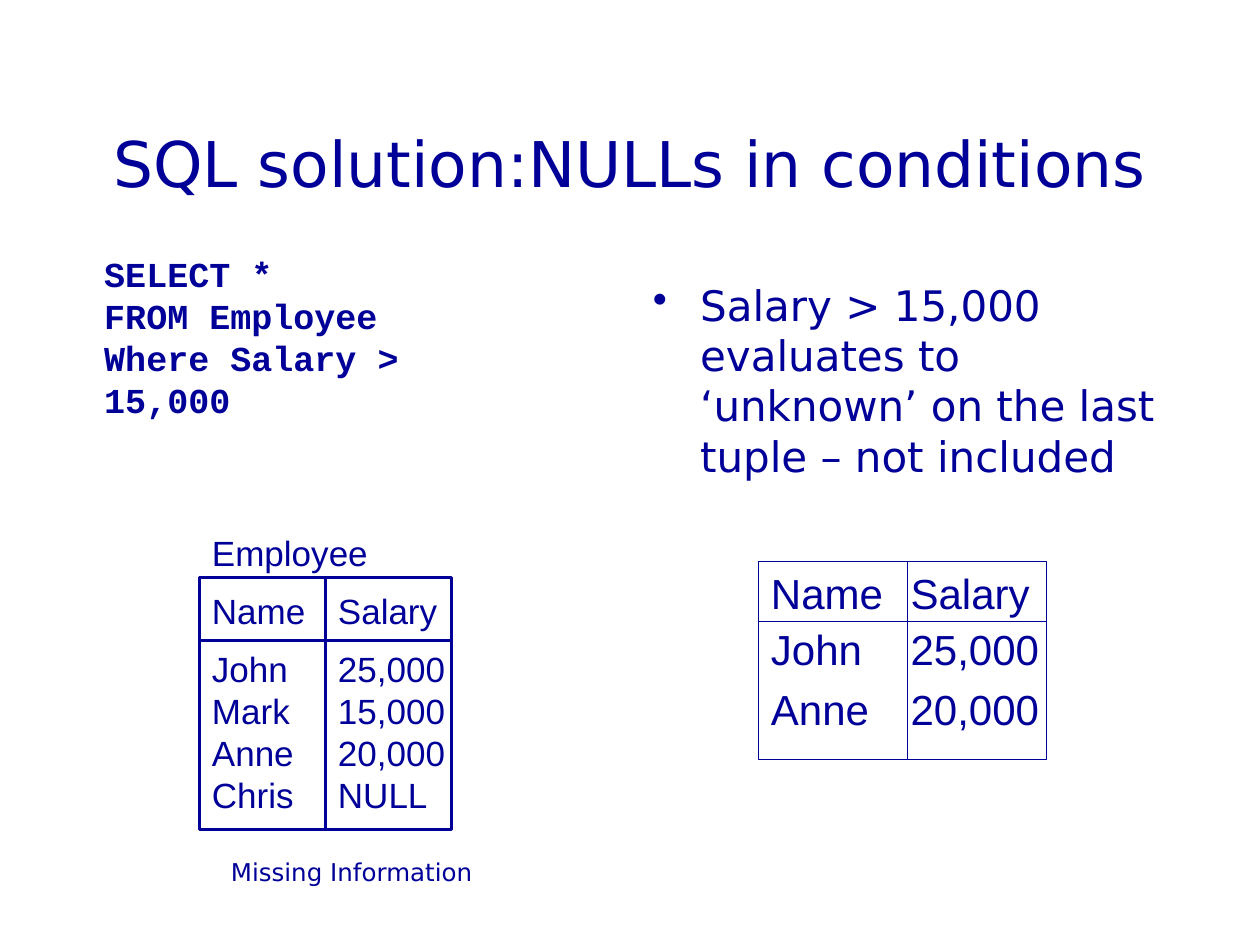
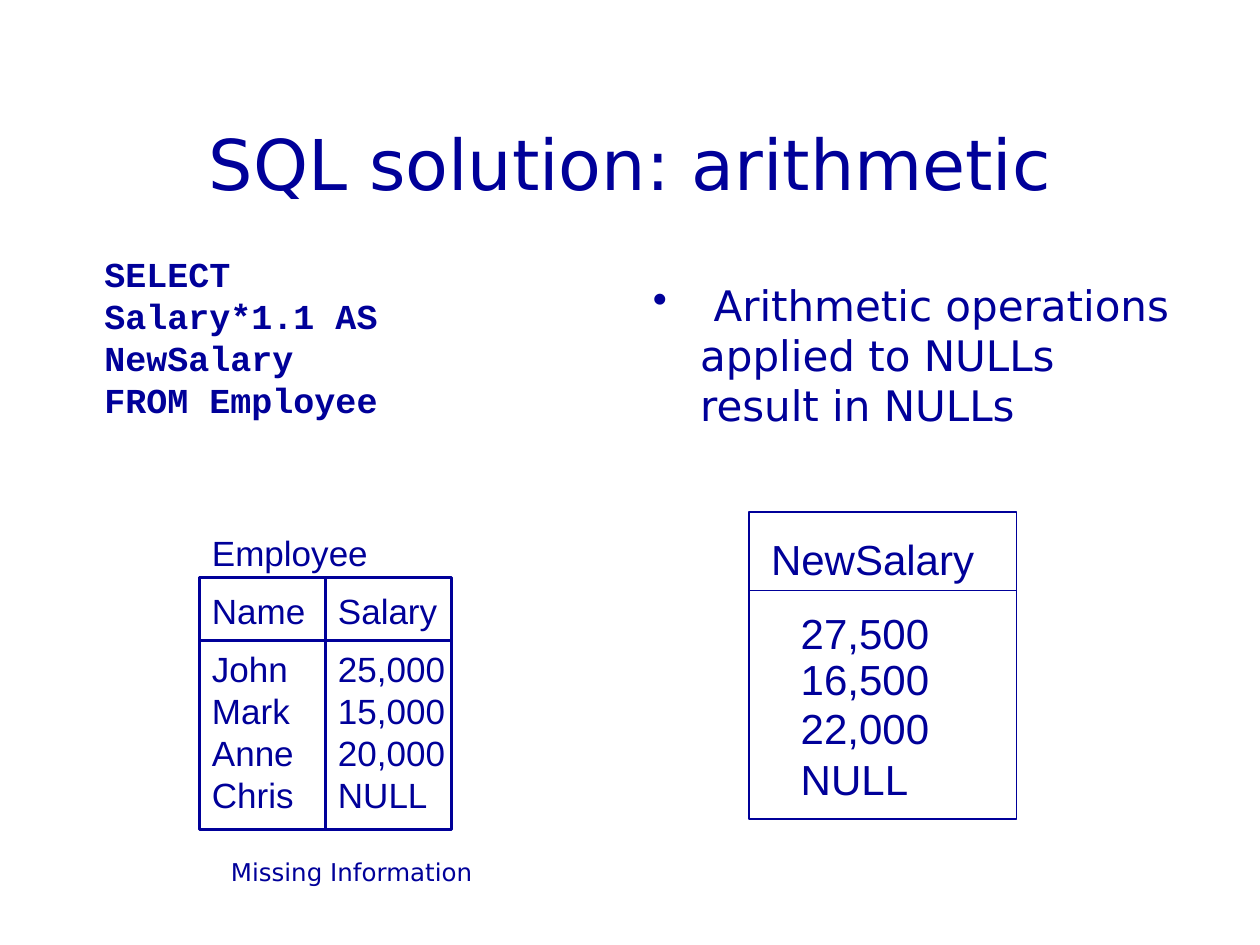
from lxml import etree
from pptx import Presentation
from pptx import util as u
from pptx.dml.color import RGBColor
from pptx.enum import shapes, text
from pptx.oxml.ns import qn

Pt = u.Pt
COLORS = {"ink": "000099", "paper": "FFFFFF"}
BODY, CODE, CELL = "DejaVu Sans", "Courier New", "Arial"
EMPLOYEES = ["Employee", "Name\tSalary", "John\t25,000", "Mark\t15,000",
             "Anne\t20,000", "Chris\tNULL"]


def rgb(name):
    return RGBColor.from_string(COLORS[name])


def add_bullet(p, indent):
    pPr = p._p.get_or_add_pPr()
    pPr.set("marL", str(Pt(indent)))
    pPr.set("indent", str(-Pt(indent)))
    etree.SubElement(pPr, qn("a:buChar"), char="•")


def add_tab(p, pos):
    tabs = etree.SubElement(p._p.get_or_add_pPr(), qn("a:tabLst"))
    etree.SubElement(tabs, qn("a:tab"), pos=str(Pt(pos)), algn="l")


def write(tf, lines, font=CELL, size=24, bold=False, align="LEFT",
          bullet=None, tab=None, gaps=()):
    """Fill a text frame; gaps holds the space before each paragraph."""
    for i, line in enumerate(lines):
        p = tf.paragraphs[0] if i == 0 else tf.add_paragraph()
        if i < len(gaps) and gaps[i]:
            p.space_before = Pt(gaps[i])
        if bullet:
            add_bullet(p, bullet)
        if tab:
            add_tab(p, tab)
        p.alignment = getattr(text.PP_ALIGN, align)
        r = p.add_run()
        r.text = line
        r.font.name, r.font.size, r.font.bold = font, Pt(size), bold
        r.font.color.rgb = rgb("ink")


class Deck:
    def __init__(self):
        self.prs = Presentation()
        self.prs.slide_width, self.prs.slide_height = Pt(720), Pt(540)
        self.s = None

    def slide(self, title, title_size, code, point):
        """Start a slide with the title, footer, query, point and Employee table."""
        self.s = self.prs.slides.add_slide(self.prs.slide_layouts[6])
        self.s.background.fill.solid()
        self.s.background.fill.fore_color.rgb = rgb("paper")
        self.text(54, 486, 294, 36, ["Missing Information"],
                  font=BODY, size=14, align="CENTER")
        self.text(54, 48, 612, 90, [title], anchor="MIDDLE",
                  font=BODY, size=title_size, align="CENTER")
        self.text(366, 156, 312, 330, [point], font=BODY, bullet=27)
        code_width = 14.4 + 12 * max(map(len, code))
        self.text(52.5, 140.5, code_width, 79, code, wrap=False,
                  font=CODE, size=20, bold=True)
        self.employee_table()

    def text(self, x, y, w, h, lines, wrap=True, anchor="TOP", **fmt):
        sp = self.s.shapes.add_textbox(Pt(x), Pt(y), Pt(w), Pt(h))
        tf = sp.text_frame
        tf.word_wrap = wrap
        tf.vertical_anchor = getattr(text.MSO_ANCHOR, anchor)
        write(tf, lines, **fmt)

    def frame(self, x, y, w, h, weight):
        sp = self.s.shapes.add_shape(shapes.MSO_SHAPE.RECTANGLE,
                                     Pt(x), Pt(y), Pt(w), Pt(h))
        sp.shadow.inherit = False
        sp.fill.background()
        sp.line.color.rgb, sp.line.width = rgb("ink"), Pt(weight)
        return sp

    def rule(self, x1, y1, x2, y2, weight):
        c = self.s.shapes.add_connector(shapes.MSO_CONNECTOR.STRAIGHT,
                                        Pt(x1), Pt(y1), Pt(x2), Pt(y2))
        c.line.color.rgb, c.line.width = rgb("ink"), Pt(weight)
        etree.SubElement(c._element.spPr, qn("a:effectLst"))
        return c

    def employee_table(self):
        x, y, side = 114, 330, 144
        self.text(x, 300, 147.5, 170.5, EMPLOYEES, wrap=False, size=20,
                  tab=side / 2, gaps=(0, 9.2, 9.2))
        box = self.frame(x, y, side, side, 1.5)
        self.rule(x, y + side / 4, x + side, y + side / 4, 1.5)
        divider = self.rule(x + side / 2, y, x + side / 2, y + side, 1.5)
        divider.begin_connect(box, 0)
        divider.end_connect(box, 2)

    def result_frame(self, x, y, w, h, header):
        self.frame(x, y, w, h, 0.75)
        self.rule(x, y + header, x + w, y + header, 0.75)

    def result_cells(self, columns, tops, rows, width):
        for top, row in zip(tops, rows):
            for x, value in zip(columns, row):
                self.text(x, top, width, 36, [value])


def main():
    deck = Deck()

    deck.slide("SQL solution:NULLs in conditions", 36,
               ["SELECT *", "FROM Employee", "Where Salary > 15,000"],
               "Salary > 15,000 evaluates to ‘unknown’ on the last tuple – not included")
    deck.result_frame(433.5, 321, 164.5, 113, 34)
    deck.rule(518.5, 321, 518.5, 434, 0.75)
    deck.result_cells((433.5, 513.3), (321, 353, 387),
                      [("Name", "Salary"), ("John", "25,000"), ("Anne", "20,000")], 91)

    deck.slide("SQL solution: arithmetic", 40,
               ["SELECT", "Salary*1.1 AS NewSalary", "FROM Employee"],
               " Arithmetic operations applied to NULLs result in NULLs")
    deck.result_frame(428, 292.5, 153, 175.5, 45)
    deck.result_cells([433.5], [301.5], [["NewSalary"]], 147.5)
    deck.result_cells([450.5], (343.5, 370, 398, 427),
                      [["27,500"], ["16,500"], ["22,000"], ["NULL"]], 124.5)

    deck.prs.save("out.pptx")


if __name__ == "__main__":
    main()
